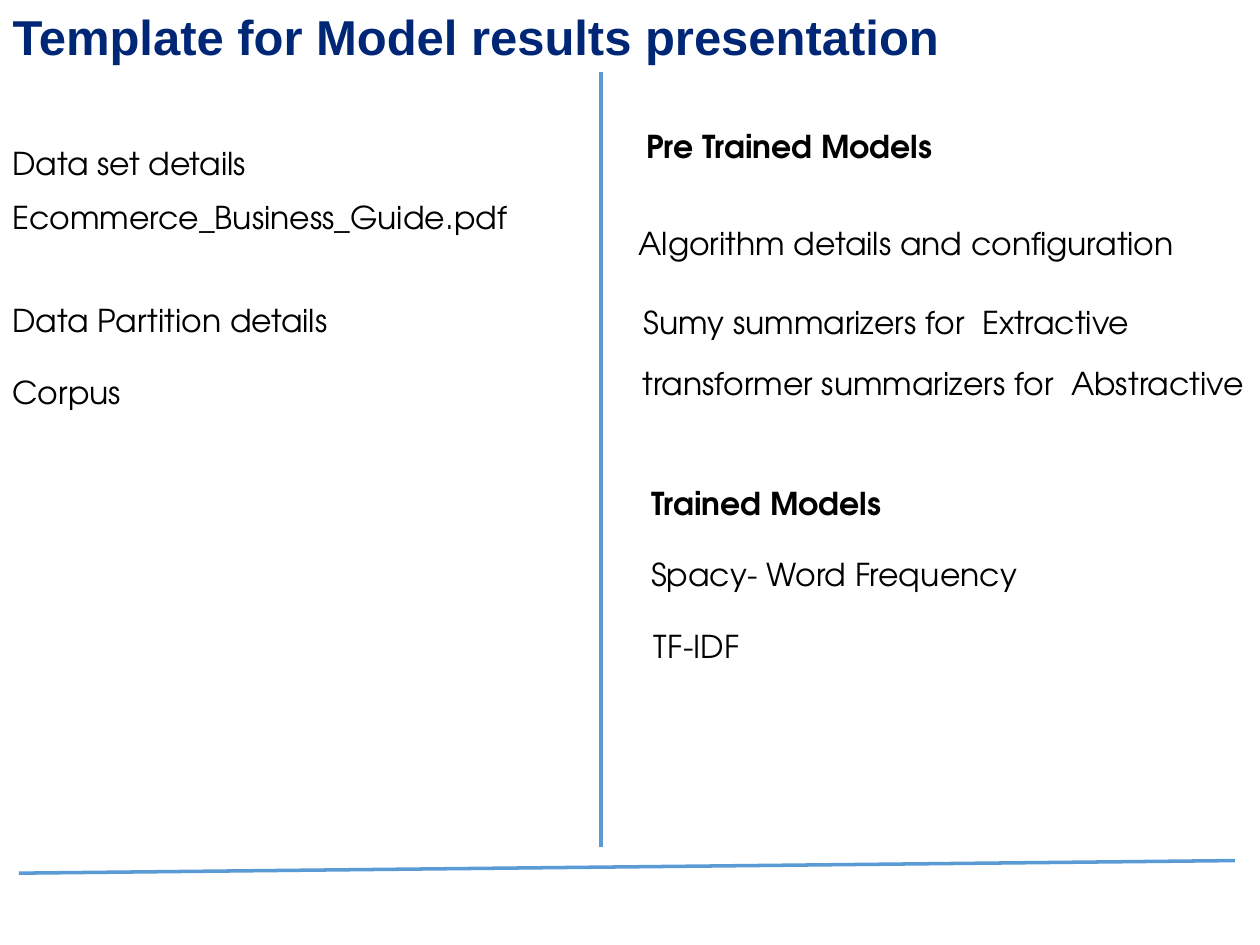
from dataclasses import dataclass

from lxml import etree
from pptx import Presentation
from pptx.dml.color import RGBColor
from pptx.enum import shapes, text
from pptx.oxml.ns import qn
from pptx.util import Inches, Pt


@dataclass(frozen=True)
class Theme:
    title_font: str = "Arial"
    body_font: str = "TeX Gyre Adventor"
    title_size: int = 28
    body_size: int = 18
    rule_width: int = 2
    title_color: str = "002776"
    body_color: str = "000000"
    rule_color: str = "5B9BD5"


THEME = Theme()
LABEL_HEIGHT = 0.4

# Each label: text, offset from the column's left and top, width, bold
DATA_LABELS = [
    ("Data set details", 0, 0, 2.82, False),
    ("Ecommerce_Business_Guide.pdf", 0, 0.43, 4.77, False),
    ("Data Partition details", 0, 1.25, 2.82, False),
    ("Corpus", 0, 1.82, 4.77, False),
]
MODEL_LABELS = [
    ("Pre Trained Models", 0.06, 0, 4.08, True),
    ("Algorithm details and configuration", 0, 0.77, 5.23, False),
    ("Sumy summarizers for  Extractive", 0.04, 1.4, 4.52, False),
    ("transformer summarizers for  Abstractive", 0.03, 1.88, 5.56, False),
    ("Trained Models", 0.1, 2.83, 4.08, True),
    ("Spacy- Word Frequency", 0.1, 3.4, 5.23, False),
    ("TF-IDF", 0.12, 3.97, 0.88, False),
]


def write_text(sp, content, font, size, color, bold):
    """Fill a shape with one left-aligned, formatted line."""
    tf = sp.text_frame
    frame_format = {
        "word_wrap": True,
        "auto_size": text.MSO_AUTO_SIZE.SHAPE_TO_FIT_TEXT,
        "vertical_anchor": text.MSO_ANCHOR.TOP,
    }
    for name, value in frame_format.items():
        setattr(tf, name, value)
    p = tf.paragraphs[0]
    p.alignment = text.PP_ALIGN.LEFT
    r = p.add_run()
    r.text = content
    for name, value in {"name": font, "size": Pt(size), "bold": bold}.items():
        setattr(r.font, name, value)
    r.font.color.rgb = RGBColor.from_string(color)


def add_title(s, left, top, width, height):
    sp = s.shapes.title
    box = {"left": left, "top": top, "width": width, "height": height}
    for name, value in box.items():
        setattr(sp, name, Inches(value))
    write_text(sp, "Template for Model results presentation",
               THEME.title_font, THEME.title_size, THEME.title_color, True)


def add_rule(s, x1, y1, x2, y2):
    line = s.shapes.add_connector(
        shapes.MSO_CONNECTOR.STRAIGHT,
        Inches(x1), Inches(y1), Inches(x2), Inches(y2))
    line.line.color.rgb = RGBColor.from_string(THEME.rule_color)
    line.line.width = Pt(THEME.rule_width)
    etree.SubElement(line._element.spPr, qn("a:effectLst"))


def add_column(s, left, top, labels):
    for content, dx, dy, width, bold in labels:
        sp = s.shapes.add_textbox(Inches(left + dx), Inches(top + dy),
                                  Inches(width), Inches(LABEL_HEIGHT))
        write_text(sp, content, THEME.body_font, THEME.body_size,
                   THEME.body_color, bold)


def main():
    prs = Presentation()
    prs.slide_width, prs.slide_height = Inches(10), Inches(7.5)
    s = prs.slides.add_slide(prs.slide_layouts.get_by_name("Title Only"))

    add_title(s, 0, 0, 8.49, 0.57)
    # Column divider and footer rule
    add_rule(s, 4.77, 0.57, 4.77, 6.72)
    add_rule(s, 0.15, 6.93, 9.8, 6.83)
    # Data on the left, models on the right
    add_column(s, 0, 1.09, DATA_LABELS)
    add_column(s, 4.97, 0.96, MODEL_LABELS)

    prs.save("out.pptx")


if __name__ == "__main__":
    main()
